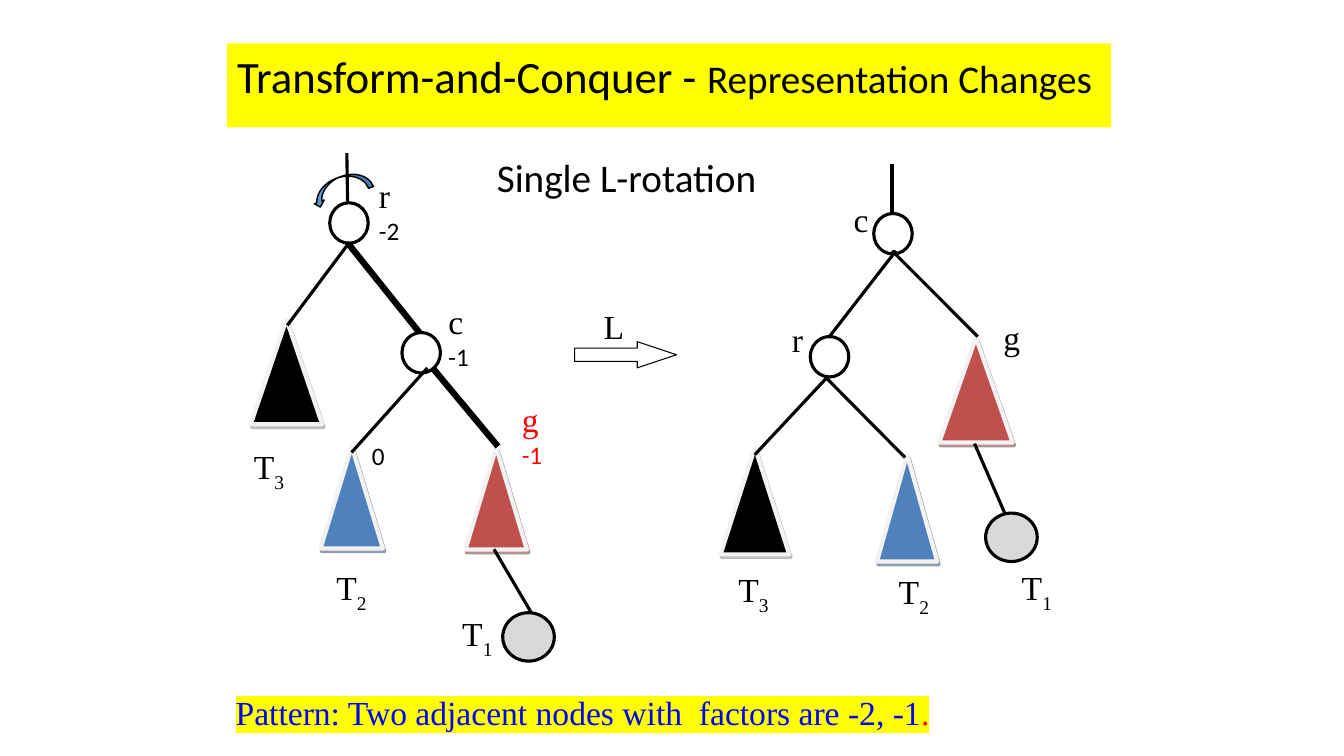
from typing import NamedTuple

from pptx import Presentation
from pptx.dml.color import RGBColor
from pptx.enum.shapes import MSO_CONNECTOR as Link, MSO_SHAPE as Kind
from pptx.enum.text import MSO_ANCHOR as Anchor, MSO_AUTO_SIZE as Fit, PP_ALIGN as Align
from pptx.oxml.ns import qn
from pptx.util import Cm, Pt
from lxml.etree import SubElement

SERIF, SANS = "Times New Roman", "Calibri"
BLACK, WHITE, RED, YELLOW = "000000", "FFFFFF", "FF0000", "FFFF00"
BRICK, BLUE, GREY = "C0504D", "4F81BD", "D9D9D9"
SHADE = {BRICK: "622423", BLUE: "243F60", BLACK: "7F7F7F"}
THIN, THICK = 2.25, 4.5


class Box(NamedTuple):
    x: float
    y: float
    w: float
    h: float


class Run(NamedTuple):
    text: str
    size: float = 24
    font: str = SERIF
    color: str = BLACK
    sub: bool = False
    mark: str = ""


class Edge(NamedTuple):
    x1: float
    y1: float
    x2: float
    y2: float


class Label(NamedTuple):
    x: float
    y: float
    w: float
    name: str
    factor: str = ""
    color: str = BLACK


class Tree(NamedTuple):
    subtrees: list[tuple[Box, str]]
    heavy: list[Edge]
    nodes: list[tuple[float, float]]
    leaf: tuple[float, float]
    edges: list[Edge]
    labels: list[Label]
    tags: list[tuple[float, float, str]]


BEFORE = Tree(
    subtrees=[(Box(11.73, 11.28, 1.55, 2.57), BRICK),
              (Box(8.08, 11.25, 1.57, 2.57), BLUE),
              (Box(6.32, 8.05, 1.8, 2.64), BLACK)],
    heavy=[Edge(10.9, 9.27, 12.55, 11.25), Edge(8.76, 6.12, 10.57, 8.38)],
    nodes=[(10.13, 8.38), (8.31, 5.11)],
    leaf=(12.67, 15.44),
    edges=[Edge(12.45, 13.84, 13.39, 15.44), Edge(10.77, 9.27, 8.86, 11.4),
           Edge(8.81, 6.1, 7.24, 8.2), Edge(8.74, 3.86, 8.76, 5.08)],
    labels=[Label(9.3, 4.29, 1.42, "r", "-2"), Label(11.05, 7.47, 1.32, "c", "-1"),
            Label(12.9, 9.93, 1.04, "g", "-1", RED)],
    tags=[(11.4, 15.32, "1"), (8.23, 14.15, "2"), (6.15, 11.1, "3")],
)
AFTER = Tree(
    subtrees=[(Box(23.67, 8.51, 1.85, 2.64), BRICK),
              (Box(22.1, 11.46, 1.52, 2.69), BLUE),
              (Box(18.16, 11.28, 1.73, 2.69), BLACK)],
    heavy=[],
    nodes=[(20.42, 8.48), (22.02, 5.38)],
    leaf=(24.84, 12.93),
    edges=[Edge(22.48, 4.14, 22.48, 5.38), Edge(22.48, 6.32, 24.64, 8.48),
           Edge(20.88, 9.47, 19.02, 11.46), Edge(20.85, 9.55, 22.81, 11.53),
           Edge(22.58, 6.32, 20.88, 8.51), Edge(24.56, 11.18, 25.32, 12.93)],
    labels=[Label(25.04, 7.87, 1.12, "g"), Label(21.26, 4.88, 1.12, "c"),
            Label(19.71, 7.92, 0.81, "r")],
    tags=[(25.5, 14.15, "1"), (22.4, 14.25, "2"), (18.36, 14.2, "3")],
)


def rgb(code: str) -> RGBColor:
    return RGBColor.from_string(code)


def write(shape, lines: list[list[Run]], wrap: bool = True) -> None:
    frame = shape.text_frame
    frame.word_wrap = wrap
    frame.auto_size = Fit.SHAPE_TO_FIT_TEXT
    for i, line in enumerate(lines):
        para = frame.add_paragraph() if i else frame.paragraphs[0]
        para.alignment = Align.LEFT
        for item in line:
            run = para.add_run()
            run.text = item.text
            font = run.font
            font.size, font.name = Pt(item.size), item.font
            font.color.rgb = rgb(item.color)
            props = run._r.get_or_add_rPr()
            if item.sub:
                props.set("baseline", "-30000")
            if item.mark:
                mark = SubElement(props, qn("a:highlight"))
                SubElement(mark, qn("a:srgbClr"), val=item.mark)
                props.find(qn("a:solidFill")).addnext(mark)


def add_text(slide, box: Box, lines: list[list[Run]], wrap: bool = True) -> None:
    write(slide.shapes.add_textbox(*map(Cm, box)), lines, wrap)


def add_form(slide, kind: Kind, box: Box, fill: str, line: str = BLACK, width: float = THIN):
    form = slide.shapes.add_shape(kind, *map(Cm, box))
    form.shadow.inherit = False
    form.fill.solid()
    form.fill.fore_color.rgb = rgb(fill)
    form.line.color.rgb = rgb(line)
    form.line.width = Pt(width)
    return form


def add_edge(slide, edge: Edge, width: float = THIN) -> None:
    line = slide.shapes.add_connector(Link.STRAIGHT, *map(Cm, edge))
    line.line.color.rgb = rgb(BLACK)
    line.line.width = Pt(width)
    SubElement(line._element.spPr, qn("a:effectLst"))


def add_subtree(slide, box: Box, fill: str) -> None:
    """Draw a subtree triangle with a pale rim and a hard shadow."""
    form = add_form(slide, Kind.FLOWCHART_EXTRACT, box, fill, "F2F2F2", 3)
    effects = form._element.spPr.find(qn("a:effectLst"))
    shadow = SubElement(effects, qn("a:outerShdw"), blurRad="0", dist=str(Pt(2.2)),
                        dir=str(63 * 60000), algn="ctr", rotWithShape="0")
    color = SubElement(shadow, qn("a:srgbClr"), val=SHADE[fill])
    SubElement(color, qn("a:alpha"), val="50000")


def add_tree(slide, tree: Tree) -> None:
    for box, fill in tree.subtrees:
        add_subtree(slide, box, fill)
    for edge in tree.heavy:
        add_edge(slide, edge, THICK)
    for x, y in tree.nodes:
        add_form(slide, Kind.FLOWCHART_CONNECTOR, Box(x, y, 0.97, 1.02), WHITE)
    for edge in tree.edges:
        add_edge(slide, edge)
    add_form(slide, Kind.FLOWCHART_CONNECTOR, Box(*tree.leaf, 1.3, 1.22), GREY)
    for x, y, w, name, factor, color in tree.labels:
        lines = [[Run(name, color=color)]]
        if factor:
            lines.append([Run(factor, 18, SANS, color)])
        add_text(slide, Box(x, y, w, 2.06 if factor else 1.27), lines)
    for x, y, digit in tree.tags:
        add_text(slide, Box(x, y, 1.52, 1.27), [[Run("T"), Run(digit, sub=True)]])


def add_title(slide) -> None:
    title = slide.shapes.title
    title.left, title.top, title.width, title.height = map(Cm, (5.72, 1.09, 22.28, 1.63))
    title.fill.solid()
    title.fill.fore_color.rgb = rgb(YELLOW)
    title.text_frame.vertical_anchor = Anchor.TOP
    write(title, [[Run("Transform-and-Conquer - ", 32, SANS),
                   Run("Representation Changes", 28, SANS)]], wrap=False)


def main() -> None:
    deck = Presentation()
    deck.slide_width, deck.slide_height = Cm(33.87), Cm(19.05)
    slide = deck.slides.add_slide(deck.slide_layouts[5])
    add_title(slide)
    add_tree(slide, BEFORE)
    add_text(slide, Box(9.12, 10.97, 0.97, 1.02), [[Run("0", 18, SANS)]])
    add_tree(slide, AFTER)

    arrow = add_form(slide, Kind.RIGHT_ARROW, Box(14.48, 8.61, 2.57, 0.66), WHITE, width=0.75)
    arrow.adjustments[1] = 1.5
    add_text(slide, Box(14.96, 7.59, 1.04, 1.27), [[Run("L")]], wrap=False)
    add_text(slide, Box(12.27, 3.73, 7.24, 1.45), [[Run("Single L-rotation", 28, SANS)]], wrap=False)

    turn = add_form(slide, Kind.CURVED_DOWN_ARROW, Box(7.8, 4.47, 1.57, 0.53), "5B9BD5", width=1)
    turn.rotation = 338.8
    turn._element.spPr.find(qn("a:xfrm")).set("flipH", "1")

    add_text(slide, Box(5.69, 17.32, 20.09, 1.27), [[
        Run("Pattern: Two adjacent nodes with  factors are -2, -1", color="0000FF", mark=YELLOW),
        Run(".", color=RED, mark=YELLOW)]])
    deck.save("out.pptx")


if __name__ == "__main__":
    main()
